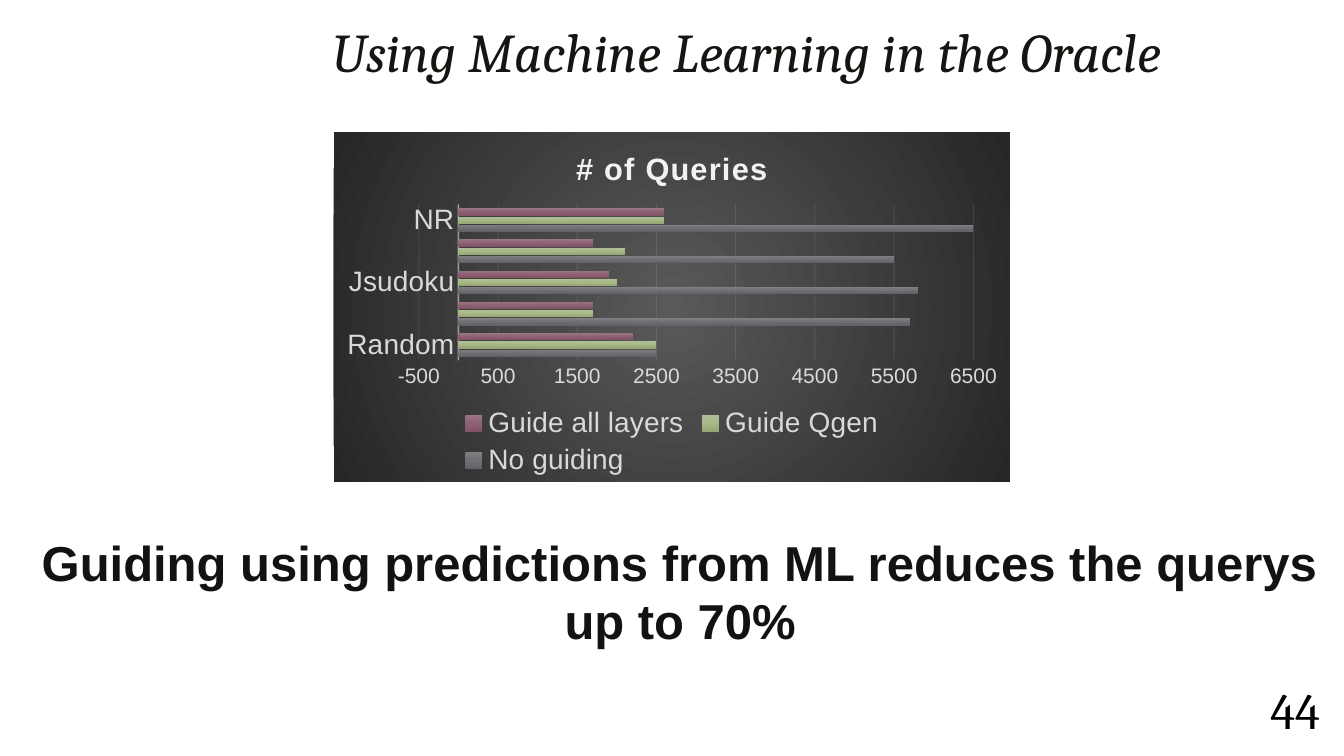
import pptx
import pptx.chart.data
import pptx.dml.color
import pptx.enum.chart
import pptx.enum.text
import pptx.oxml
import pptx.oxml.ns
import pptx.util

Pt = pptx.util.Pt
RGB = pptx.dml.color.RGBColor.from_string
PP_ALIGN = pptx.enum.text.PP_ALIGN
ANCHOR = pptx.enum.text.MSO_ANCHOR
XL = pptx.enum.chart

THEME = {
    "title": {"name": "Cambria", "size": 39, "color": "171512", "italic": True, "bold": False},
    "number": {"name": "Cambria", "size": 36, "color": "000000"},
    "claim": {"name": "Arial", "size": 35, "color": "121212", "bold": True},
    "chart": {"name": "Arial", "size": 10, "color": "000000"},
    "chart_title": {"name": "Arial", "size": 22, "color": "F2F2F2", "bold": True},
    "label": {"name": "Arial", "size": 20, "color": "D9D9D9", "bold": False},
    "value": {"name": "Arial", "size": 15, "color": "D9D9D9", "bold": False},
    "line": "F2F2F2",
    "panel": ("595959", "262626"),
}
CIRCLE = ('<a:path path="circle"><a:fillToRect l="50000" t="50000" '
          'r="50000" b="50000"/></a:path>')
DOWN = '<a:lin ang="5400000" scaled="0"/>'
CATEGORIES = ["Random", "", "Jsudoku", "", "NR"]
SERIES = [
    ("No guiding", (2500, 5700, 5800, 5500, 6600), ("808084", "6F6F74", "626268")),
    ("Guide Qgen", (2500, 1700, 2000, 2100, 2600), ("B1BF97", "A8B987", "96A775")),
    ("Guide all layers", (2200, 1700, 1900, 1700, 2600), ("9A7684", "8F6174", "815466")),
]


def set_attrs(obj, values):
    """Set each named attribute of an object."""
    for name, value in values.items():
        setattr(obj, name, value)


def style_font(font, fmt):
    """Apply one theme text style to a font."""
    set_attrs(font, {k: v for k, v in fmt.items() if k not in ("size", "color")})
    font.size = Pt(fmt["size"])
    font.color.rgb = RGB(fmt["color"])


def parse_xml(tag, body):
    """Make an element with the drawing and chart namespaces."""
    ns = pptx.oxml.ns.nsdecls("a", "c")
    return pptx.oxml.parse_xml(f"<{tag} {ns}>{body}</{tag}>")


def gradient(colors, direction):
    """Return the body of a gradient fill with evenly spaced stops."""
    step = 100000 // (len(colors) - 1)
    stops = "".join(f'<a:gs pos="{i * step}"><a:srgbClr val="{c}"/></a:gs>'
                    for i, c in enumerate(colors))
    return f"<a:gsLst>{stops}</a:gsLst>{direction}"


def style_line(line, width, opacity):
    """Draw a pale, partly transparent chart line."""
    line.width = Pt(width)
    line.color.rgb = RGB(THEME["line"])
    color = line._ln.find(".//" + pptx.oxml.ns.qn("a:srgbClr"))
    alpha = parse_xml("a:alpha", "")
    alpha.set("val", str(opacity * 1000))
    color.append(alpha)


def fill_text(sp, text, fmt, anchor, inset, spacing):
    """Write one centred paragraph into a shape."""
    tf = sp.text_frame
    set_attrs(tf, {
        "word_wrap": True, "vertical_anchor": anchor,
        "auto_size": pptx.enum.text.MSO_AUTO_SIZE.NONE,
        "margin_left": Pt(inset), "margin_right": Pt(inset),
        "margin_top": Pt(3.6), "margin_bottom": Pt(3.6)})
    p = tf.paragraphs[0]
    set_attrs(p, {"alignment": PP_ALIGN.CENTER, "line_spacing": spacing})
    r = p.add_run()
    r.text = text
    style_font(r.font, fmt)


def add_title(s, x, y, w, h):
    """Place the slide title in its box."""
    sp = s.shapes.title
    set_attrs(sp, {"left": Pt(x), "top": Pt(y), "width": Pt(w), "height": Pt(h)})
    fill_text(sp, "Using Machine Learning in the Oracle", THEME["title"],
              ANCHOR.BOTTOM, 7.2, 0.9)


def add_claim(s, x, y, w, h):
    """Place the closing statement in its box."""
    sp = s.shapes.add_textbox(Pt(x), Pt(y), Pt(w), Pt(h))
    fill_text(sp, "Guiding using predictions from ML reduces the querys up to 70%",
              THEME["claim"], ANCHOR.TOP, 7.2, 1.0)


def add_number(s, x, y, w, h):
    """Place the page number in its box."""
    sp = s.shapes.add_textbox(Pt(x), Pt(y), Pt(w), Pt(h))
    fill_text(sp, "44", THEME["number"], ANCHOR.MIDDLE, 3.6, 0.9)


def style_axes(chart):
    """Format the category and value axes."""
    cat, val = chart.category_axis, chart.value_axis
    for axis, fmt in ((cat, THEME["label"]), (val, THEME["value"])):
        set_attrs(axis, {"major_tick_mark": XL.XL_TICK_MARK.NONE,
                         "minor_tick_mark": XL.XL_TICK_MARK.NONE,
                         "tick_label_position": XL.XL_TICK_LABEL_POSITION.NEXT_TO_AXIS})
        style_font(axis.tick_labels.font, fmt)
    style_line(cat.format.line, 1, 54)
    set_attrs(val, {"minimum_scale": -500, "maximum_scale": 6500, "major_unit": 1000,
                    "has_major_gridlines": True})
    set_attrs(val.tick_labels, {"number_format": "General",
                                "number_format_is_linked": False})
    val.format.line.fill.background()
    style_line(val.major_gridlines.format.line, 0.75, 10)


def place_plot(chart, x, y, w, h):
    """Fix the inner plot area as fractions of the chart."""
    body = '<c:layoutTarget val="inner"/><c:xMode val="edge"/><c:yMode val="edge"/>'
    body += "".join(f'<c:{k} val="{v}"/>' for k, v in zip("xywh", (x, y, w, h)))
    plot_area = chart._chartSpace.chart.plotArea
    for old in plot_area.findall(pptx.oxml.ns.qn("c:layout")):
        plot_area.remove(old)
    plot_area.insert(0, parse_xml("c:layout", f"<c:manualLayout>{body}</c:manualLayout>"))


def add_query_chart(s, x, y, w, h):
    """Place the query count bar chart in its box."""
    data = pptx.chart.data.CategoryChartData()
    data.categories = CATEGORIES
    for name, values, _ in SERIES:
        data.add_series(name, values)
    chart = s.shapes.add_chart(XL.XL_CHART_TYPE.BAR_CLUSTERED, Pt(x), Pt(y),
                               Pt(w), Pt(h), data).chart
    style_font(chart.font, THEME["chart"])
    panel = parse_xml("c:spPr", "<a:ln><a:noFill/></a:ln>")
    panel.insert(0, parse_xml("a:gradFill", gradient(THEME["panel"], CIRCLE)))
    chart._chartSpace.chart.addnext(panel)

    chart.has_title = True
    p = chart.chart_title.text_frame.paragraphs[0]
    r = p.add_run()
    r.text = "# of Queries"
    style_font(r.font, THEME["chart_title"])
    r.font._element.set("spc", "100")
    chart.chart_title.include_in_layout = False

    chart.has_legend = True
    set_attrs(chart.legend, {"position": XL.XL_LEGEND_POSITION.BOTTOM,
                             "include_in_layout": False})
    style_font(chart.legend.font, THEME["label"])
    style_axes(chart)
    place_plot(chart, 0.126, 0.207, 0.82, 0.446)

    plot = chart.plots[0]
    set_attrs(plot, {"gap_width": 115, "overlap": -20, "vary_by_categories": False})
    for series, (_, _, colors) in zip(plot.series, SERIES):
        series.invert_if_negative = False
        sp_pr = series._element.get_or_add_spPr()
        sp_pr.append(parse_xml("a:gradFill", gradient(colors, DOWN)))


def main():
    """Build the slide and save it."""
    prs = pptx.Presentation()
    set_attrs(prs, {"slide_width": Pt(960), "slide_height": Pt(540)})
    s = prs.slides.add_slide(prs.slide_layouts[5])
    add_number(s, 889.2, 486, 72, 46.8)
    add_title(s, 177.84, 0.72, 711.36, 63.36)
    add_claim(s, 12.24, 376.56, 947.52, 92.16)
    add_query_chart(s, 238.32, 94.32, 483.12, 249.84)
    prs.save("out.pptx")


if __name__ == "__main__":
    main()
